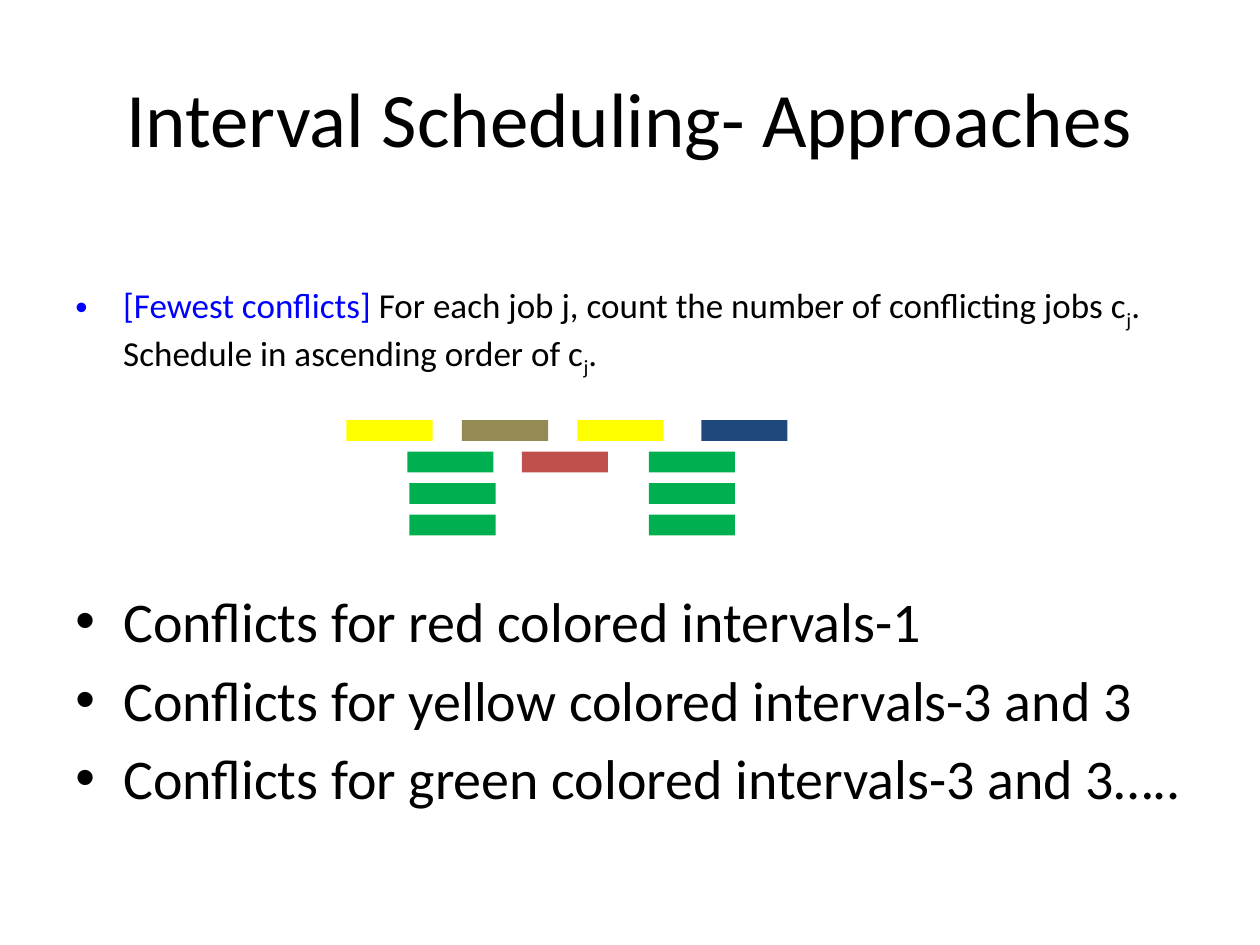
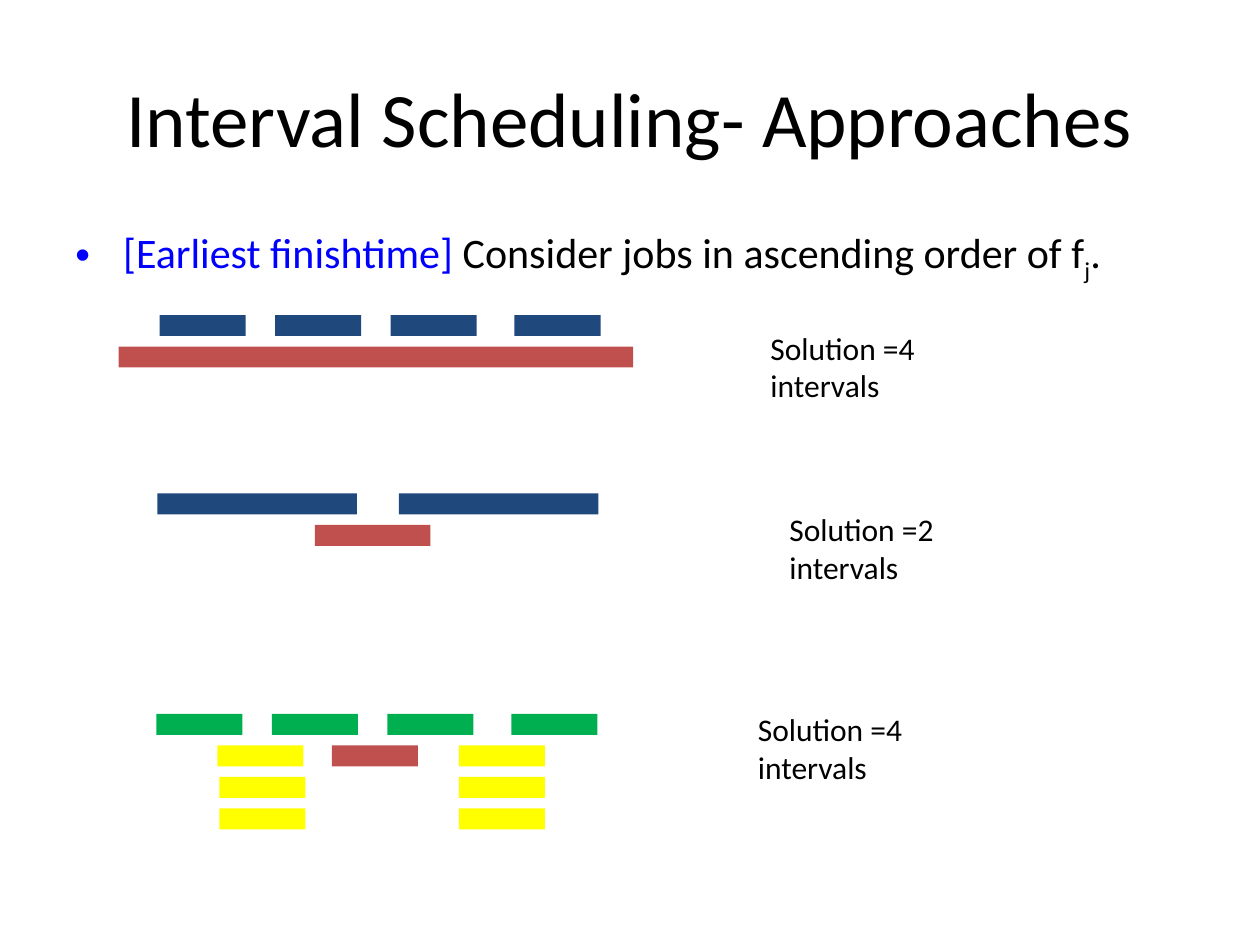
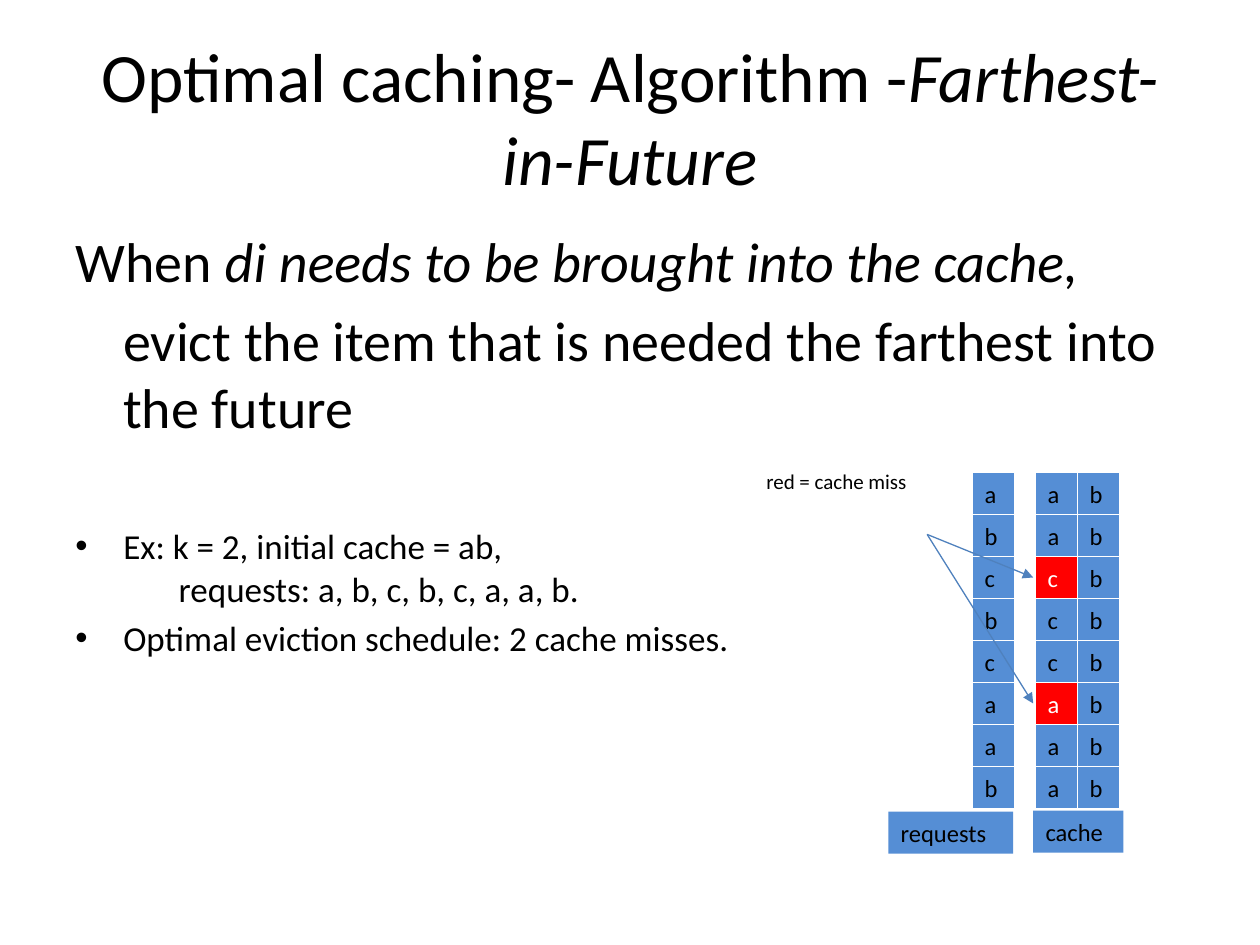
from dataclasses import dataclass

from lxml import etree
from pptx import Presentation
from pptx.dml.color import RGBColor
from pptx.enum.shapes import MSO_CONNECTOR, MSO_SHAPE
from pptx.enum.text import MSO_ANCHOR, MSO_AUTO_SIZE, PP_ALIGN
from pptx.oxml.ns import qn
from pptx.util import Inches, Pt

RECTANGLE = MSO_SHAPE.RECTANGLE
STRAIGHT = MSO_CONNECTOR.STRAIGHT
TOP, MIDDLE = MSO_ANCHOR.TOP, MSO_ANCHOR.MIDDLE
LEFT, CENTER = PP_ALIGN.LEFT, PP_ALIGN.CENTER
NO_AUTOFIT = MSO_AUTO_SIZE.NONE

SLIDE_WIDTH, SLIDE_HEIGHT = Inches(10), Inches(7.5)
COLUMNS, ROWS = 120, 90
INDENT = 0.38


@dataclass(frozen=True)
class Theme:
    font: str = "Calibri"
    ink: str = "000000"
    paper: str = "FFFFFF"
    term: str = "0000FF"
    navy: str = "1F497D"
    brick: str = "C0504D"
    green: str = "00B050"
    yellow: str = "FFFF00"
    olive: str = "948A54"
    hit: str = "558ED5"
    miss: str = "FF0000"
    arrow: str = "4F81BD"
    title: float = 44
    long_title: float = 39.6
    body: float = 32
    lead: float = 24
    detail: float = 20
    label: float = 18
    cell: float = 14
    caption: float = 12


THEME = Theme()


@dataclass(frozen=True)
class Box:
    left: float
    top: float
    width: float
    height: float

    def inner(self, column, row, width, height):
        return Box(self.left + column, self.top + row, width, height)

    def emu(self):
        return (*at(self.left, self.top), *at(self.width, self.height))


TITLE_BOX = Box(6, 3.6, 108, 15)
BODY_BOX = Box(6, 21, 108, 59.4)


def at(column, row):
    return round(column * SLIDE_WIDTH / COLUMNS), round(row * SLIDE_HEIGHT / ROWS)


def rgb(colour):
    return RGBColor.from_string(colour)


def write_text(frame, paragraphs, *, size, colour=THEME.ink, align=LEFT,
               anchor=TOP, wrap=True, bullet=False, indent=0, first=0, gap=0.2):
    frame.word_wrap = wrap
    frame.auto_size = NO_AUTOFIT
    frame.vertical_anchor = anchor
    for index, runs in enumerate(paragraphs):
        paragraph = frame.add_paragraph() if index else frame.paragraphs[0]
        paragraph.alignment = align
        paragraph.space_before = Pt(size * gap if index else 0)
        properties = paragraph._p.get_or_add_pPr()
        properties.set("marL", str(Inches(indent)))
        properties.set("indent", str(Inches(first)))
        if bullet:
            etree.SubElement(properties, qn("a:buFont"), typeface="Arial")
            etree.SubElement(properties, qn("a:buChar"), char="•")
        else:
            etree.SubElement(properties, qn("a:buNone"))
        for words, style in runs:
            run = paragraph.add_run()
            run.text = words
            run.font.name = THEME.font
            run.font.size = Pt(size)
            run.font.italic = style.get("italic", False)
            run.font.color.rgb = rgb(style.get("colour", colour))
            if style.get("subscript"):
                run._r.get_or_add_rPr().set("baseline", "-25000")


def plain(*lines):
    return [[(line, {})] for line in lines]


def add_body(slide, box, paragraphs, **style):
    text = slide.shapes.add_textbox(*box.emu())
    write_text(text.text_frame, paragraphs, **style)


def add_bullets(slide, box, paragraphs, size):
    add_body(slide, box, paragraphs, size=size, bullet=True, indent=INDENT, first=-INDENT)


def add_block(slide, box, fill, words="", border=None, **style):
    block = slide.shapes.add_shape(RECTANGLE, *box.emu())
    block.shadow.inherit = False
    block.fill.solid()
    block.fill.fore_color.rgb = rgb(fill)
    if border:
        block.line.color.rgb = rgb(border)
        block.line.width = Pt(0.75)
    else:
        block.line.fill.background()
    if words:
        write_text(block.text_frame, plain(words), **style)


def add_arrow(slide, start, end):
    arrow = slide.shapes.add_connector(STRAIGHT, *at(*start), *at(*end))
    arrow.line.color.rgb = rgb(THEME.arrow)
    arrow.line.width = Pt(0.75)
    etree.SubElement(arrow.line._get_or_add_ln(), qn("a:tailEnd"), type="triangle")
    etree.SubElement(arrow._element.spPr, qn("a:effectLst"))


def new_slide(deck, runs, size=THEME.title):
    slide = deck.slides.add_slide(deck.slide_layouts[5])
    title = slide.shapes.title
    title.left, title.top, title.width, title.height = TITLE_BOX.emu()
    write_text(title.text_frame, [runs], size=size, align=CENTER, anchor=MIDDLE)
    return slide


JOB_WIDTH, JOB_HEIGHT, JOB_PITCH = 8.2, 2, 3
JOB_STARTS = (0, 11, 22, 33.8)


def draw_jobs(slide, box, jobs):
    for start, row, width, colour in jobs:
        add_block(slide, box.inner(start, row * JOB_PITCH, width, JOB_HEIGHT), colour)


def job_row(colours, offset=0):
    return [(offset + start, 0, JOB_WIDTH, colour)
            for start, colour in zip(JOB_STARTS, colours)]


def crowded_jobs(top_colours, stack_colour):
    stacks = [(start, row, JOB_WIDTH, stack_colour)
              for row, starts in enumerate(((5.8, 28.8), (6, 28.8), (6, 28.8)), 1)
              for start in starts]
    return job_row(top_colours) + stacks + [(16.7, 1, JOB_WIDTH, THEME.brick)]


def draw_cache(slide, box):
    cell = 4
    requests = "abcbcaab"
    cache = "aacccaaa"
    misses = (2, 5)
    for row, (request, cached) in enumerate(zip(requests, cache)):
        missed = row in misses
        entries = (
            (8, request, THEME.hit, THEME.ink),
            (14, cached, THEME.miss if missed else THEME.hit,
             THEME.paper if missed else THEME.ink),
            (18, "b", THEME.hit, THEME.ink),
        )
        for column, item, fill, colour in entries:
            add_block(slide, box.inner(column, row * cell, cell, cell), fill, item,
                      border=THEME.paper, size=THEME.cell, colour=colour,
                      anchor=MIDDLE, wrap=False)
    for name, column, row, width in (("cache", 13.8, 32.2, 8.6), ("requests", 0, 32.3, 11.9)):
        add_block(slide, box.inner(column, row, width, cell), THEME.hit, name,
                  size=THEME.cell, wrap=False)
    add_block(slide, box.inner(-12.8, -1, 16, 3.6), THEME.paper, "red = cache miss",
              size=THEME.caption, wrap=False)
    for row in misses:
        add_arrow(slide, (box.left + 3.7, box.top + 5.9),
                  (box.left + 13.8, box.top + (row + 0.5) * cell))


def fewest_conflicts_slide(deck):
    slide = new_slide(deck, [("Interval Scheduling- Approaches", {})])
    subscript = ("j", {"subscript": True})
    add_bullets(slide, BODY_BOX.inner(0, 5.4, BODY_BOX.width, 10), [[
        ("[Fewest conflicts]", {"colour": THEME.term}),
        (" For each job j, count the number of conflicting jobs c", {}), subscript,
        (". Schedule in ascending order of c", {}), subscript, (".", {}),
    ]], THEME.detail)
    draw_jobs(slide, Box(33, 40, 42, 11), crowded_jobs(
        (THEME.yellow, THEME.olive, THEME.yellow, THEME.navy), THEME.green))
    add_bullets(slide, BODY_BOX.inner(0, 34.3, BODY_BOX.width, 25), plain(
        "Conflicts for red colored intervals-1",
        "Conflicts for yellow colored intervals-3 and 3",
        "Conflicts for green colored intervals-3 and 3…..",
    ), THEME.body)


def earliest_finish_slide(deck):
    slide = new_slide(deck, [("Interval Scheduling- Approaches", {})])
    add_bullets(slide, BODY_BOX.inner(0, 0, BODY_BOX.width, 7), [[
        ("[Earliest finishtime]", {"colour": THEME.term}),
        (" Consider jobs in ascending order of f", {}),
        ("j", {"subscript": True}), (".", {}),
    ]], THEME.lead)
    one_long = job_row([THEME.navy] * 4, 3.9) + [(0, 1, 49, THEME.brick)]
    one_short = [(0, 0, 19, THEME.navy), (23, 0, 19, THEME.navy), (15, 1, 11, THEME.brick)]
    crowded = crowded_jobs([THEME.green] * 4, THEME.yellow)
    examples = (
        (Box(11.3, 30, 49, 5), one_long, 4, 60.9, 0.7),
        (Box(15, 47, 42, 5), one_short, 2, 59, 1),
        (Box(14.9, 68, 42, 11), crowded, 4, 56.1, -1),
    )
    for box, jobs, count, column, row in examples:
        draw_jobs(slide, box, jobs)
        add_block(slide, box.inner(column, row, 24.7, 8.5), THEME.paper,
                  f"Solution ={count} intervals", size=THEME.label)


def caching_slide(deck):
    slide = new_slide(deck, [
        ("Optimal caching- Algorithm -", {}), ("Farthest-in-Future", {"italic": True}),
    ], THEME.long_title)
    add_body(slide, BODY_BOX.inner(0, 0, BODY_BOX.width, 7), [[
        ("When ", {}), ("di needs to be brought into the cache,", {"italic": True}),
    ]], size=THEME.body)
    add_body(slide, BODY_BOX.inner(0, 7.5, BODY_BOX.width, 14), plain(
        "evict the item that is needed the farthest into the future",
    ), size=THEME.body, indent=INDENT)
    example = BODY_BOX.inner(0, 28.4, 76, 5)
    add_bullets(slide, example, plain("Ex: k = 2, initial cache = ab,"), THEME.detail)
    add_body(slide, example.inner(0, 4.07, 76, 5), plain(
        "requests: a, b, c, b, c, a, a, b.",
    ), size=THEME.detail, indent=INDENT + 0.44)
    add_bullets(slide, example.inner(0, 8.7, 76, 5), plain(
        "Optimal eviction schedule: 2 cache misses.",
    ), THEME.detail)
    draw_cache(slide, Box(84.6, 45, 22.4, 36.3))


def main():
    deck = Presentation()
    deck.slide_width, deck.slide_height = SLIDE_WIDTH, SLIDE_HEIGHT
    fewest_conflicts_slide(deck)
    earliest_finish_slide(deck)
    caching_slide(deck)
    deck.save("out.pptx")


if __name__ == "__main__":
    main()
